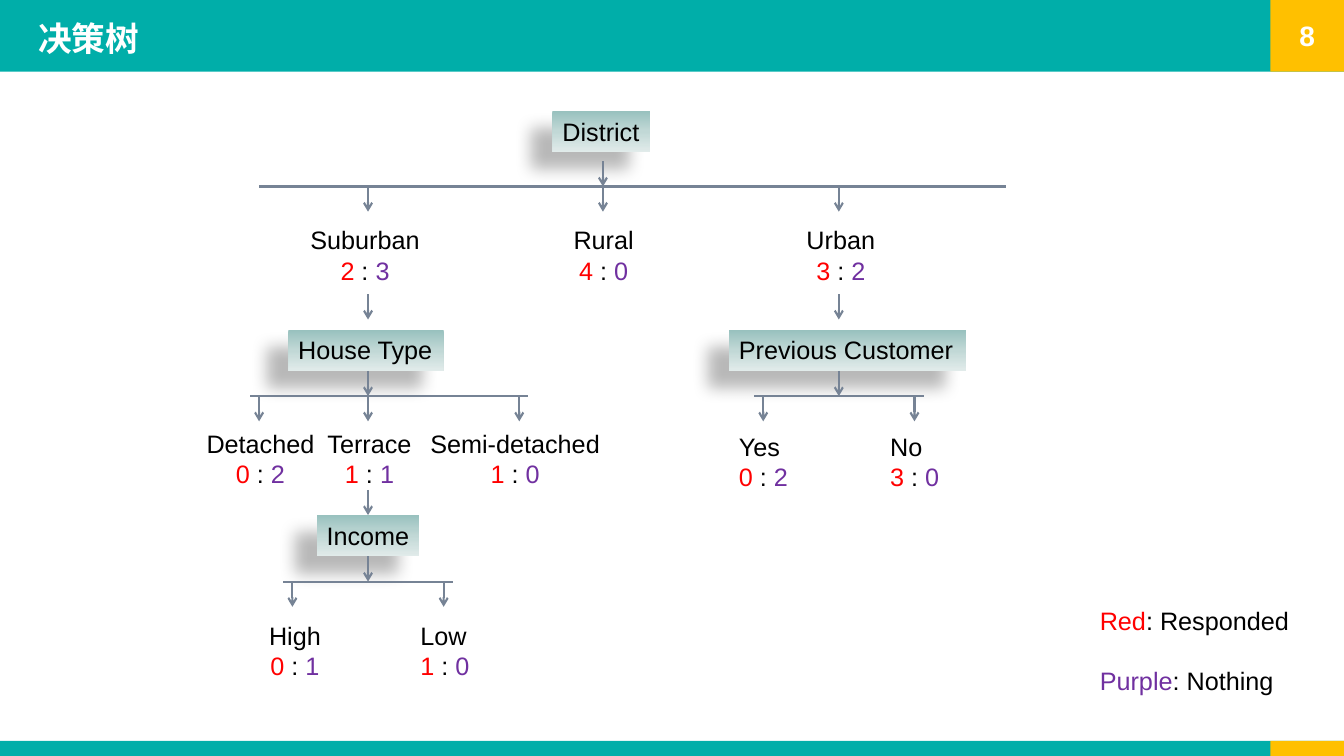
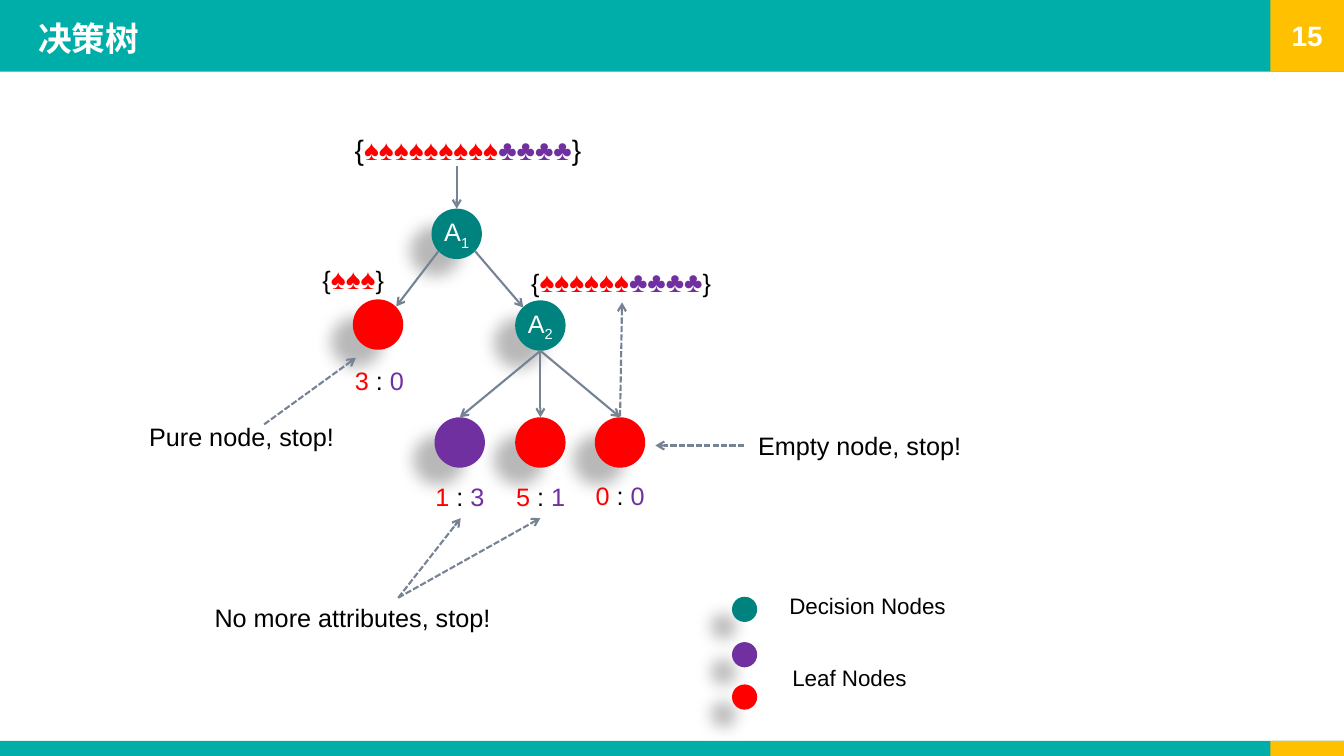
import pptx
import pptx.util
import pptx.dml.color
import pptx.enum.dml
import pptx.enum.shapes
import pptx.enum.text
import pptx.oxml.ns
import copy
from lxml import etree

RGB = pptx.dml.color.RGBColor
TEAL = RGB(0x00, 0xAE, 0xA9)
GOLD = RGB(0xFF, 0xC0, 0x00)
DEEP = RGB(0x00, 0x82, 0x7E)
SLATE = RGB(0x76, 0x83, 0x95)
RED = RGB(0xFF, 0x00, 0x00)
VIOLET = RGB(0x70, 0x30, 0xA0)
BLACK = RGB(0x00, 0x00, 0x00)
WHITE = RGB(0xFF, 0xFF, 0xFF)
FADE = (RGB(0x98, 0xC1, 0xBE), RGB(0xC1, 0xD8, 0xD6), RGB(0xE1, 0xEB, 0xEA))

SCALE = 9144  # EMU in one px, 100 px to the inch
WIDE, HIGH = 1333, 750
LATIN, HAN = "Arial", "Noto Sans CJK SC"

KIND = pptx.enum.shapes.MSO_SHAPE
ALIGN = pptx.enum.text.PP_ALIGN
ANCHOR = pptx.enum.text.MSO_ANCHOR
qn = pptx.oxml.ns.qn


def emu(*vals):
    return [pptx.util.Emu(round(v * SCALE)) for v in vals]


# Basic parts

def write(para, runs, size=18, bold=None, face=LATIN):
    """Fill a paragraph with (text, colour[, size]) runs."""
    font = para.font
    font.name, font.size, font.bold = face, pptx.util.Pt(size), bold
    shades = {run[1] for run in runs}
    if len(shades) == 1:
        font.color.rgb = runs[0][1]
    for words, shade, *own in runs:
        run = para.add_run()
        run.text = words
        if len(shades) > 1:
            run.font.color.rgb = shade
        if own:
            run.font.size = pptx.util.Pt(own[0])


def text(slide, box, *paras, size=18):
    """Text box; every paragraph is a list of runs."""
    frame = slide.shapes.add_textbox(*emu(*box)).text_frame
    frame.word_wrap = False
    for i, runs in enumerate(paras):
        para = frame.add_paragraph() if i else frame.paragraphs[0]
        write(para, runs, size)
    return frame


def shape(slide, kind, box, fill=None):
    part = slide.shapes.add_shape(kind, *emu(*box))
    part.line.fill.background()
    part.shadow.inherit = False
    if fill is not None:
        part.fill.solid()
        part.fill.fore_color.rgb = fill
    return part


def shade(part):
    """Soft shadow towards the lower left."""
    glow = etree.SubElement(
        part._element.spPr.find(qn("a:effectLst")), qn("a:outerShdw"),
        blurRad="150000", dist="250000", dir="8460000",
        algn="ctr", rotWithShape="0")
    tint = etree.SubElement(glow, qn("a:srgbClr"), val=str(BLACK))
    etree.SubElement(tint, qn("a:alpha"), val="28000")


def line(slide, start, end, head=True, dash=False, tie=None, join=None):
    """Straight line; tie and join are (shape, site) at its two ends."""
    link = slide.shapes.add_connector(
        pptx.enum.shapes.MSO_CONNECTOR.STRAIGHT, *emu(*start, *end))
    if tie:
        link.begin_connect(*tie)
    if join:
        link.end_connect(*join)
    link.line.color.rgb = SLATE
    link.line.width = pptx.util.Pt(1.5)
    if dash:
        link.line.dash_style = pptx.enum.dml.MSO_LINE.SQUARE_DOT
    props = link._element.spPr
    if head:
        etree.SubElement(props.find(qn("a:ln")), qn("a:tailEnd"), type="arrow")
    etree.SubElement(props, qn("a:effectLst"))


def ratio(left, right):
    return [(str(left), RED), (" : ", BLACK), (str(right), VIOLET)]


# Shared frame: bands, title and page number

def frame(deck, title, page):
    slide = deck.slides.add_slide(deck.slide_layouts[6])
    edge, top, foot = 1260, 71, 735
    shape(slide, KIND.RECTANGLE, (0, 0, WIDE, top), TEAL)
    shape(slide, KIND.RECTANGLE, (0, foot, WIDE, HIGH - foot), TEAL)
    shape(slide, KIND.RECTANGLE, (edge, foot, WIDE - edge, HIGH - foot), GOLD)
    tab = shape(slide, KIND.RECTANGLE, (edge, 0, WIDE - edge, top), GOLD)
    tab.text_frame.vertical_anchor = ANCHOR.MIDDLE
    para = tab.text_frame.paragraphs[0]
    para.alignment = ALIGN.CENTER
    write(para, [(str(page), WHITE)], 20, True)

    head = slide.shapes.add_textbox(*emu(28, 5, 1200, 58)).text_frame
    head.word_wrap = True
    head.vertical_anchor = ANCHOR.BOTTOM
    para = head.paragraphs[0]
    para.line_spacing = 0.9
    write(para, [(title, WHITE)], 24, True, HAN)
    etree.SubElement(para.font._element, qn("a:ea"), typeface=HAN)
    return slide


# Tree of attributes

def plate(slide, box, name):
    """Shaded box that holds the name of an attribute."""
    part = shape(slide, KIND.RECTANGLE, box)
    part.fill.gradient()
    part.fill.gradient_angle = 270
    stops = part._element.spPr.find(".//" + qn("a:gsLst"))
    stops.insert(1, copy.deepcopy(stops[0]))
    for i, stop in enumerate(part.fill.gradient_stops):
        stop.position = i / 2
        stop.color.rgb = FADE[i]
    shade(part)
    body = part.text_frame
    body.word_wrap = False
    body.vertical_anchor = ANCHOR.TOP
    body.paragraphs[0].alignment = ALIGN.LEFT
    write(body.paragraphs[0], [(name, BLACK)])
    return part


def split(slide, x, y, name, left, width, kids, drop=66, pads=(9, 9),
          low=30, feed=10):
    """Attribute with its stem at x and its top at y.

    kids: (name, red, violet, arrow x, label x, label width), x from the stem.
    """
    tall, step, bar = 41, 25, y + drop
    node = plate(slide, (x + left, y, width, tall), name)
    mid = left + width / 2 == 0
    if feed is not None:
        join = (node, 0) if mid and feed == 0 else None
        line(slide, (x, y - feed - step), (x, y - feed), join=join)
    tie = (node, 2) if mid and drop == tall + step else None
    line(slide, (x, bar - step), (x, bar), tie=tie)
    line(slide, (x + kids[0][3] - pads[0], bar),
         (x + kids[-1][3] + pads[1], bar), head=False)
    for word, red, violet, arm, side, span in kids:
        line(slide, (x + arm, bar), (x + arm, bar + step))
        label = text(slide, (x + side, bar + low, span, 71),
                     [(word, BLACK)], ratio(red, violet))
        label.paragraphs[1].alignment = ALIGN.CENTER


def key(slide, x, y):
    body = text(slide, (x, y, 224, 101),
                [("Red", RED), (": Responded", BLACK)],
                [("Purple", VIOLET), (": Nothing", BLACK)])
    body.word_wrap = True
    body.paragraphs[1].space_before = pptx.util.Pt(21)


def tree(deck):
    slide = frame(deck, "决策树", 8)
    split(slide, 598, 110, "District", -50, 97, [
        ("Suburban", 2, 3, -233, -300, 130),
        ("Rural", 4, 0, 0, -39, 81),
        ("Urban", 3, 2, 234, 192, 89),
    ], drop=75, pads=(108, 166), low=33, feed=None)
    split(slide, 365, 327, "House Type", -79, 154, [
        ("Detached", 0, 2, -108, -170, 128),
        ("Terrace", 1, 1, 0, -50, 104),
        ("Semi-detached", 1, 0, 150, 52, 190),
    ], low=27)
    split(slide, 365, 511, "Income", -51, 102, [
        ("High", 0, 1, -75, -108, 72),
        ("Low", 1, 0, 75, 42, 69),
    ], low=33, feed=0)
    split(slide, 832, 327, "Previous Customer", -109, 235, [
        ("Yes", 0, 2, -75, -109, 69),
        ("No", 3, 0, 75, 41, 69),
    ])
    key(slide, 1081, 596)


# Tree of nodes

def dot(slide, x, y, fill, index=None, size=50):
    """Round node centred on x with its top at y."""
    part = shape(slide, KIND.OVAL, (x - size // 2, y, size, size), fill)
    shade(part)
    if index:
        body = part.text_frame
        body.margin_left = body.margin_right = 0
        body.margin_top = body.margin_bottom = 0
        body.word_wrap = True
        body.vertical_anchor = ANCHOR.MIDDLE
        para = body.paragraphs[0]
        para.alignment = ALIGN.CENTER
        write(para, [("A", WHITE), (index, WHITE)])
        para.runs[1].font._element.set("baseline", "-25000")
    return part


def suits(slide, box, spades, clubs, brace=18):
    runs = [("{", BLACK, brace), ("♠" * spades, RED)]
    if clubs:
        runs.append(("♣" * clubs, VIOLET))
    text(slide, box, runs + [("}", BLACK, brace)], size=20)


def graph(slide, x, y):
    """Decision tree whose root is centred on x with its top at y."""
    root = dot(slide, x, y, DEEP, "1")
    pure = (x - 78, y + 90)
    fork = (x + 83, y + 91)
    dot(slide, *pure, RED)
    dot(slide, *fork, DEEP, "2")
    line(slide, (x, y - 42), (x, y), join=(root, 0))
    line(slide, (x - 18, y + 42), (x - 60, y + 97))
    line(slide, (x + 18, y + 42), (x + 66, y + 98))
    text(slide, (pure[0] - 33, y + 151, 69, 40), ratio(3, 0))

    base = y + 207
    for side, fill, red, violet, lift in (
            (3, VIOLET, 1, 3, 0), (83, RED, 5, 1, 0), (162, RED, 0, 0, 1)):
        leaf = dot(slide, x + side, base, fill)
        line(slide, (fork[0], fork[1] + 50), (x + side, base), join=(leaf, 0))
        text(slide, (x + side - 34, base + 59 - lift, 69, 40),
             ratio(red, violet))

    suits(slide, (x - 111, y - 80, 247, 44), 9, 4, 20)
    suits(slide, (x + 64, y + 50, 200, 44), 6, 4)
    suits(slide, (x - 143, y + 48, 82, 44), 3, 0)


def notes(slide, x, y):
    """Remarks and dashed pointers, placed from the root of the tree."""
    for left, top, width, words in (
            (-315, 206, 205, "Pure node, stop!"),
            (-250, 386, 296, "No more attributes, stop!"),
            (289, 215, 224, "Empty node, stop!")):
        text(slide, (x + left, y + top, width, 40), [(words, BLACK)])
    for a, b, c, d in ((-191, 214, -100, 148), (-58, 386, 83, 307),
                       (-58, 386, 4, 307), (285, 235, 197, 235),
                       (162, 206, 164, 93)):
        line(slide, (x + a, y + b), (x + c, y + d), dash=True)


def legend(slide, x, y):
    for drop, fill in ((0, DEEP), (45, VIOLET), (87, RED)):
        dot(slide, x, y + drop, fill, size=25)
    text(slide, (x + 35, y - 9, 177, 37), [("Decision Nodes", BLACK)], size=16)
    text(slide, (x + 38, y + 62, 135, 37), [("Leaf Nodes", BLACK)], size=16)


def nodes(deck):
    slide = frame(deck, "决策树", 15)
    graph(slide, 453, 207)
    notes(slide, 453, 207)
    legend(slide, 738, 592)


def main():
    deck = pptx.Presentation()
    deck.slide_width, deck.slide_height = emu(WIDE, HIGH)
    tree(deck)
    nodes(deck)
    deck.save("out.pptx")


if __name__ == "__main__":
    main()
